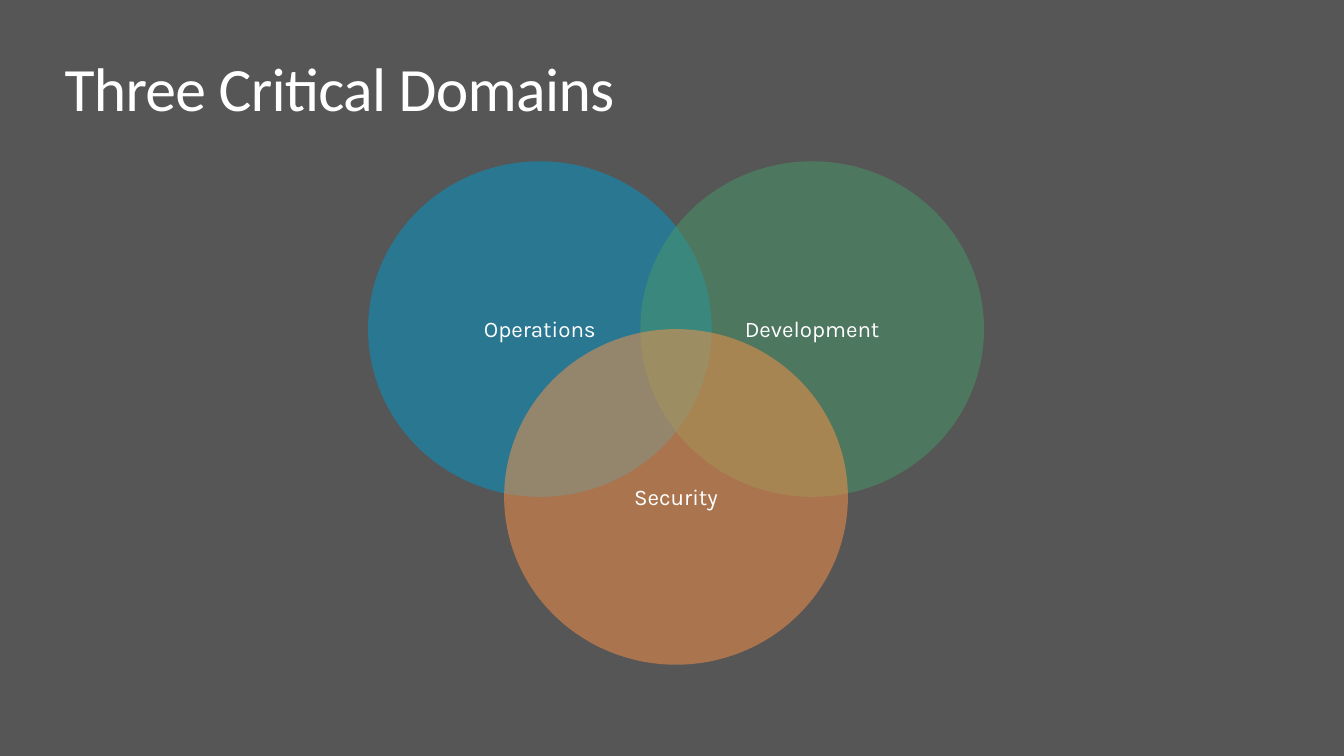
from lxml import etree
from pptx import Presentation
from pptx.dml.color import RGBColor
from pptx.enum.shapes import MSO_SHAPE
from pptx.enum.text import MSO_ANCHOR, PP_ALIGN
from pptx.oxml.ns import qn
from pptx.util import Inches, Pt

OVAL = MSO_SHAPE.OVAL
TOP, MIDDLE = MSO_ANCHOR.TOP, MSO_ANCHOR.MIDDLE
LEFT, CENTER = PP_ALIGN.LEFT, PP_ALIGN.CENTER


def color(hex_string):
    """Turn a hex string into a colour."""
    return RGBColor.from_string(hex_string)


class VennSlide:
    """Hold the style and the current slide."""

    title_font = "Calibri"
    label_font = "Karla"
    text_color = "FFFFFF"
    background = "565656"
    circle_width, circle_height = 3.41, 3.33
    opacity = 50

    def __init__(self, presentation):
        """Add a title-only slide with a plain background."""
        self.slide = presentation.slides.add_slide(presentation.slide_layouts[5])
        fill = self.slide.background.fill
        fill.solid()
        fill.fore_color.rgb = color(self.background)

    def add_text(self, shape, text, font, size, alignment, anchor, margins):
        """Put one styled run into a shape and return it."""
        frame = shape.text_frame
        frame.word_wrap = True
        frame.vertical_anchor = anchor
        horizontal, vertical = (Inches(margin) for margin in margins)
        frame.margin_left = frame.margin_right = horizontal
        frame.margin_top = frame.margin_bottom = vertical
        paragraph = frame.paragraphs[0]
        paragraph.alignment = alignment
        run = paragraph.add_run()
        run.text = text
        run.font.name = font
        run.font.size = Pt(size)
        run.font.color.rgb = color(self.text_color)
        return run

    def title(self, text, left, top, width, height):
        """Place and format the title placeholder."""
        shape = self.slide.shapes.title
        shape.left, shape.top = Inches(left), Inches(top)
        shape.width, shape.height = Inches(width), Inches(height)
        run = self.add_text(shape, text, self.title_font, 44, LEFT, TOP, (0, 0))
        run._r.get_or_add_rPr().set("spc", "-50")

    def circle(self, text, left, top, fill_color):
        """Add a translucent labelled circle."""
        shape = self.slide.shapes.add_shape(
            OVAL, Inches(left), Inches(top),
            Inches(self.circle_width), Inches(self.circle_height))
        shape.shadow.inherit = False
        shape.line.fill.background()
        shape.fill.solid()
        shape.fill.fore_color.rgb = color(fill_color)
        solid_color = shape._element.spPr.find(".//" + qn("a:srgbClr"))
        alpha = etree.SubElement(solid_color, qn("a:alpha"))
        alpha.set("val", str(self.opacity * 1000))
        self.add_text(shape, text, self.label_font, 16, CENTER, MIDDLE, (0.2, 0.16))


def main():
    """Build the slide with three overlapping domains."""
    presentation = Presentation()
    presentation.slide_width = Inches(13.33)
    presentation.slide_height = Inches(7.5)
    venn = VennSlide(presentation)
    venn.title("Three Critical Domains", 0.64, 0.5, 12.05, 0.74)
    left, top, step = 3.65, 1.6, 1.35
    domains = [
        ("Operations", 0, 0, "0098CE"),
        ("Development", 2, 0, "489869"),
        ("Security", 1, 1, "FF9349"),
    ]
    for name, column, row, fill_color in domains:
        venn.circle(name, left + column * step,
                    top + row * venn.circle_height / 2, fill_color)
    presentation.save("out.pptx")


if __name__ == "__main__":
    main()
